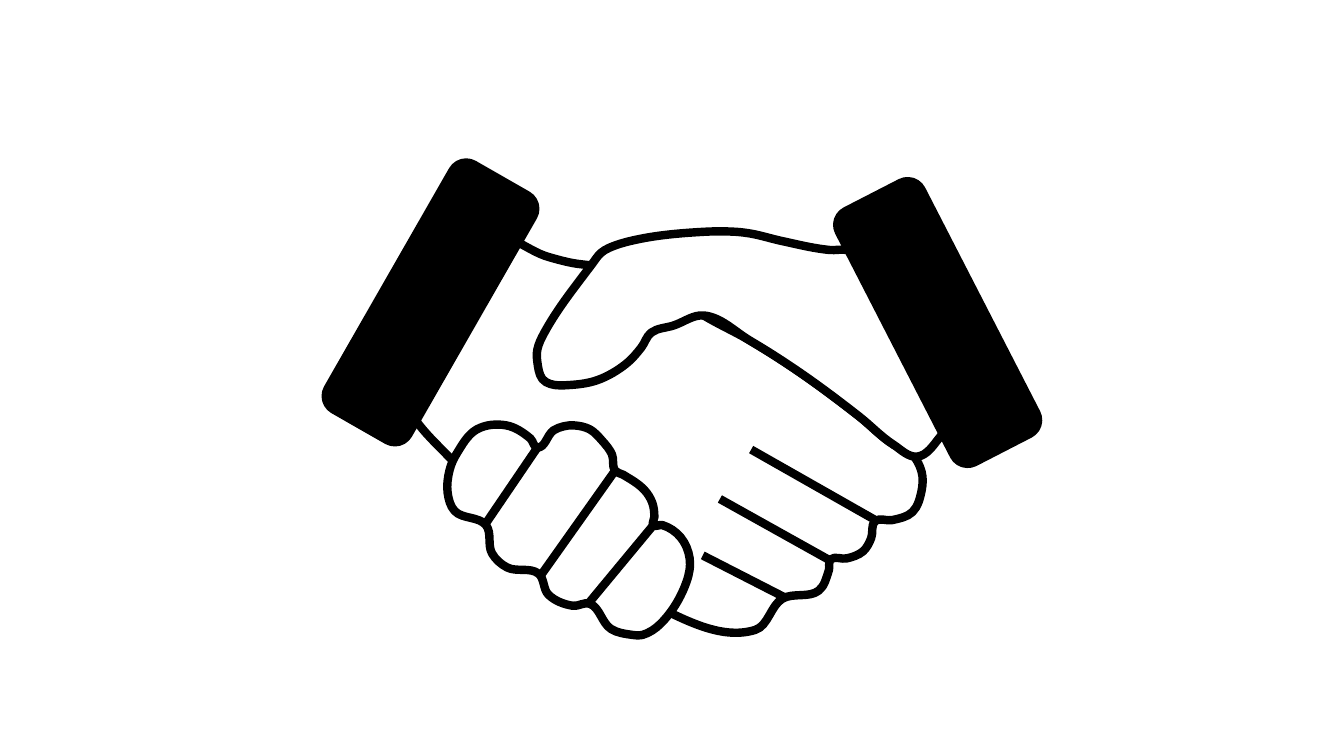
from itertools import chain
from math import dist

from lxml.etree import SubElement
from pptx import Presentation
from pptx.dml.color import RGBColor
from pptx.enum.shapes import MSO_CONNECTOR, MSO_SHAPE
from pptx.oxml.ns import qn
from pptx.util import Inches, Pt

BLACK = RGBColor(0, 0, 0)
WHITE = RGBColor(255, 255, 255)

CUFF_SIZE = (0.92, 2.8)
CUFFS = {"left": (3.81, 1.6, 29.8), "right": (8.84, 1.8, 332.8)}

WEB = [(6.98, 3.13), (7.44, 3.38), (7.94, 3.7), (8.52, 4.13), (8.86, 4.41)]

PALM = {
    "wrist": [(4.78, 2.34), (5.44, 2.55), (5.68, 2.61), (5.92, 2.64)],
    "under thumb": [(6.61, 2.74), (6.77, 2.99)],
    "web": WEB,
    "index": [(9.02, 4.48), (9.14, 4.68), (9.14, 4.87), (9.05, 5.08), (8.85, 5.16)],
    "middle": [(8.68, 5.17), (8.64, 5.34), (8.56, 5.47), (8.4, 5.54)],
    "ring": [(8.24, 5.55), (8.22, 5.66), (8.12, 5.86)],
    "little": [(7.76, 5.94), (7.49, 6.25), (6.44, 5.98)],
    "heel": [(4.46, 4.54), (4, 3.85)],
}
FIST = {
    "index top": [(5.26, 4.35), (5.02, 4.22), (4.73, 4.26), (4.53, 4.5)],
    "index tip": [(4.46, 4.66), (4.44, 4.89), (4.51, 5.07)],
    "middle tip": [(4.82, 5.21), (4.88, 5.49), (5.03, 5.63)],
    "ring tip": [(5.34, 5.69), (5.44, 5.9), (5.68, 6.01)],
    "little tip": [(5.85, 5.99), (6.06, 6.24), (6.28, 6.3), (6.37, 6.3)],
    "little top": [(6.55, 6.19), (6.81, 5.77), (6.84, 5.54), (6.75, 5.33), (6.57, 5.21)],
    "ring top": [(6.48, 5.21), (6.49, 5.13), (6.47, 4.99), (6.39, 4.86), (6.18, 4.71)],
    "middle top": [(6.1, 4.67), (6.07, 4.51), (5.97, 4.37), (5.85, 4.26), (5.69, 4.22)],
    "middle root": [(5.59, 4.23), (5.49, 4.27), (5.33, 4.44)],
}
THUMB = {
    "back": [(8.66, 2.57), (8.4, 2.48), (8.23, 2.48), (7.75, 2.39), (7.46, 2.32)],
    "ridge": [(7.3, 2.3), (6.98, 2.3), (6.35, 2.37), (6.04, 2.46), (5.96, 2.51)],
    "side": [(5.88, 2.61), (5.4, 3.3), (5.33, 3.47), (5.33, 3.59)],
    "tip": [(5.38, 3.76), (5.46, 3.81), (5.65, 3.82), (5.93, 3.77)],
    "crook": [(6.21, 3.61), (6.36, 3.45), (6.46, 3.3), (6.68, 3.23)],
    "web": WEB,
    "wrist": [(9.1, 4.53), (9.32, 4.34), (9.39, 4.21), (9.1, 3.61)],
}
CREASES = {
    "palm index": ((7.45, 4.46), (8.7, 5.17)),
    "palm middle": ((7.14, 4.95), (8.25, 5.57)),
    "palm ring": ((6.97, 5.51), (7.79, 5.93)),
    "fist little": ((5.85, 5.97), (6.48, 5.21)),
    "fist ring": ((5.37, 5.7), (6.1, 4.67)),
    "fist middle": ((4.8, 5.22), (5.33, 4.44)),
}


def aim(start, end):
    size = dist(start, end)
    return [(b - a) / size for a, b in zip(start, end)]


def tangent(before, knot, after):
    turn = [a + b for a, b in zip(aim(before, knot), aim(knot, after))]
    return aim((0, 0), turn)


def shift(knot, slope, reach):
    return tuple(a + b * reach for a, b in zip(knot, slope))


def smooth(knots):
    ahead = knots[1:] + knots[:1]
    behind = knots[-1:] + knots[:-1]
    slopes = [tangent(*trio) for trio in zip(behind, knots, ahead)]
    for start, end, leave, arrive in zip(knots, ahead, slopes, slopes[1:] + slopes[:1]):
        reach = dist(start, end) / 3
        yield shift(start, leave, reach)
        yield shift(end, arrive, -reach)
        yield end


class Sketch:
    pen = {"width": Pt(6)}
    ink = {"rgb": BLACK}

    def __init__(self, slide):
        self.shapes = slide.shapes.add_group_shape().shapes

    def stroke(self, line):
        for part, style in ((line, self.pen), (line.color, self.ink)):
            for name, value in style.items():
                setattr(part, name, value)

    def finish(self, shape, fill):
        shape.shadow.inherit = False
        if fill is None:
            shape.fill.background()
        else:
            shape.fill.solid()
            shape.fill.fore_color.rgb = fill
        self.stroke(shape.line)

    def hand(self, parts, fill=None):
        knots = list(chain(*parts.values()))
        pen = self.shapes.build_freeform(*map(Inches, knots[0]))
        pen.add_line_segments([tuple(map(Inches, spot)) for spot in smooth(knots)])
        shape = pen.convert_to_shape()
        steps = list(shape._element.iter(qn("a:lnTo")))
        for first, *others in zip(steps[::3], steps[1::3], steps[2::3]):
            first.tag = qn("a:cubicBezTo")
            for step in others:
                first.append(step[0])
                step.getparent().remove(step)
        self.finish(shape, fill)

    def crease(self, start, end):
        ends = map(Inches, start + end)
        line = self.shapes.add_connector(MSO_CONNECTOR.STRAIGHT, *ends)
        self.stroke(line.line)
        SubElement(line._element.spPr, qn("a:effectLst"))

    def cuff(self, left, top, turn):
        box = map(Inches, (left, top, *CUFF_SIZE))
        shape = self.shapes.add_shape(MSO_SHAPE.ROUNDED_RECTANGLE, *box)
        shape.rotation = turn
        self.finish(shape, BLACK)


def main():
    deck = Presentation()
    deck.slide_width = Inches(13.33)
    deck.slide_height = Inches(7.5)
    sketch = Sketch(deck.slides.add_slide(deck.slide_layouts[6]))
    sketch.hand(PALM)
    sketch.hand(FIST, WHITE)
    sketch.hand(THUMB, WHITE)
    for ends in CREASES.values():
        sketch.crease(*ends)
    for place in CUFFS.values():
        sketch.cuff(*place)
    deck.save("out.pptx")


if __name__ == "__main__":
    main()
